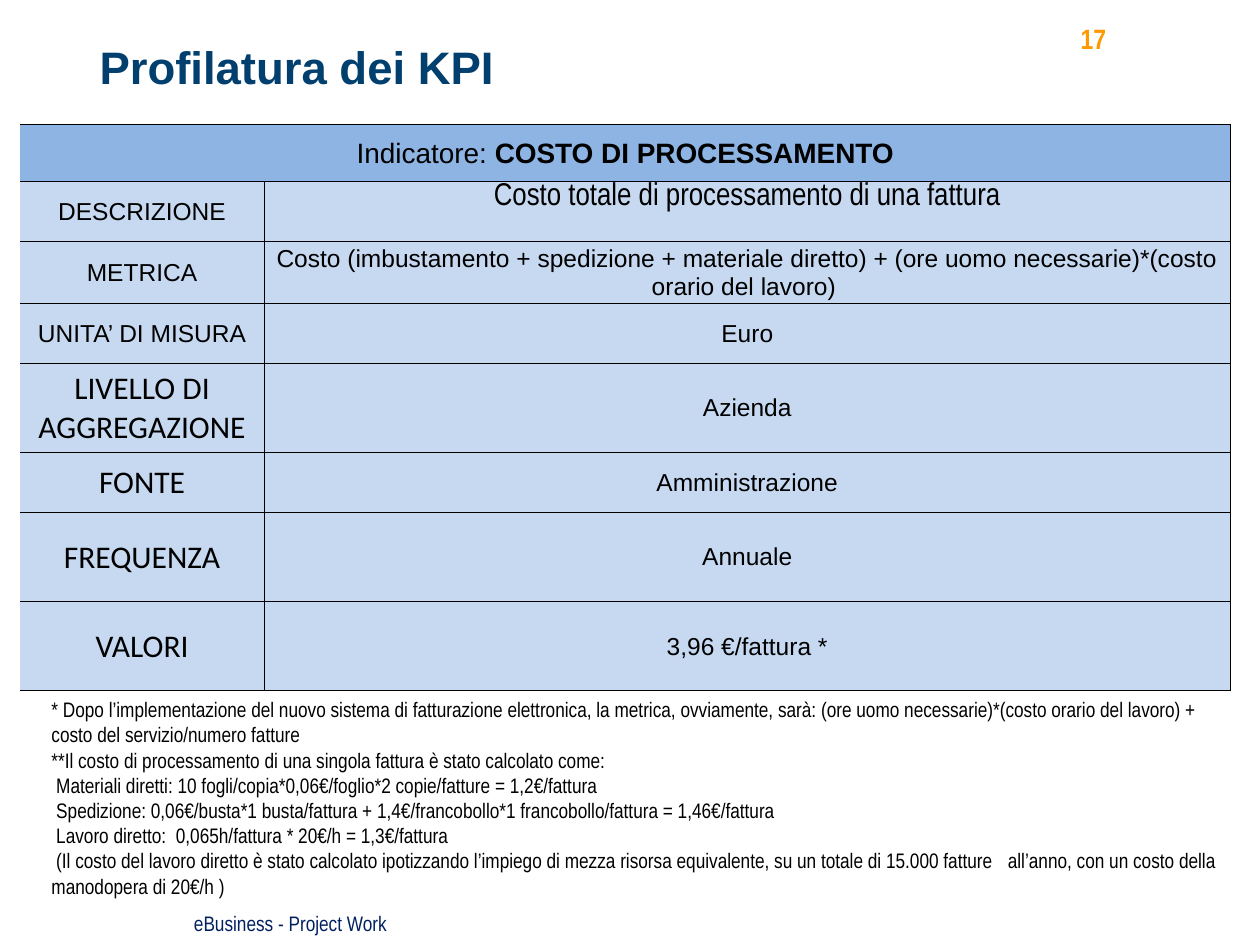
"""Build the KPI profile slide."""
from dataclasses import dataclass

from lxml.etree import SubElement
from pptx import Presentation
from pptx.dml.color import RGBColor as RGB
from pptx.enum.text import MSO_ANCHOR as Anchor, PP_ALIGN as Align
from pptx.oxml.ns import qn
from pptx.util import Pt


@dataclass(frozen=True)
class Theme:
    ink: str = "000000"
    title: str = "003F6E"
    number: str = "FF9900"
    footer: str = "002060"
    header: str = "8EB4E3"
    body: str = "C6D9F1"
    sans: str = "Arial"
    narrow: str = "Arial Narrow"
    label: str = "Calibri"
    title_size: float = 26
    large: float = 18
    head: float = 16
    medium: float = 14
    small: float = 12


T = Theme()


@dataclass(frozen=True)
class Style:
    font: str = T.sans
    size: float = T.medium
    color: str = T.ink
    bold: bool = False


@dataclass(frozen=True)
class Box:
    left: float
    top: float
    width: float
    height: float
    lines: tuple[str, ...]
    style: Style
    align: Align = Align.LEFT
    insets: tuple[float, float, float, float] = (7.2, 3.6, 7.2, 3.6)


@dataclass(frozen=True)
class Row:
    height: float
    label: str
    value: str
    label_style: Style = Style()
    value_style: Style = Style()
    value_anchor: Anchor = Anchor.MIDDLE


BIG = Style(T.label, T.large)
LOW, TALL = 34.3, 50.9
ROWS = (
    Row(LOW, "DESCRIZIONE", "Costo totale di processamento di una fattura",
        value_style=Style(T.narrow, T.large), value_anchor=Anchor.TOP),
    Row(35.4, "METRICA", "Costo (imbustamento + spedizione + materiale diretto) + "
        "(ore uomo necessarie)*(costo orario del lavoro) "),
    Row(LOW, "UNITA’ DI MISURA", "Euro"),
    Row(TALL, "LIVELLO DI AGGREGAZIONE", "Azienda", BIG),
    Row(LOW, "FONTE", "Amministrazione", BIG),
    Row(TALL, "FREQUENZA", "Annuale", BIG),
    Row(TALL, "VALORI", "3,96 €/fattura *", BIG),
)
HEADER_HEIGHT = 32.6
COLUMNS = (139.4, 552.3)
NOTES = (
    "* Dopo l’implementazione del nuovo sistema di fatturazione elettronica, la metrica, "
    "ovviamente, sarà: (ore uomo necessarie)*(costo orario del lavoro) + "
    "costo del servizio/numero fatture",
    "**Il costo di processamento di una singola fattura è stato calcolato come:",
    "\u00a0Materiali diretti: 10 fogli/copia*0,06€/foglio*2 copie/fatture = 1,2€/fattura",
    "\u00a0Spedizione: 0,06€/busta*1 busta/fattura + 1,4€/francobollo*1 francobollo/fattura"
    " = 1,46€/fattura",
    "\u00a0Lavoro diretto: \u00a00,065h/fattura * 20€/h = 1,3€/fattura",
    "\u00a0(Il costo del lavoro diretto è stato calcolato ipotizzando l’impiego di mezza "
    "risorsa equivalente, su un totale di 15.000 fatture \u00a0\u00a0all’anno, con un costo "
    "della manodopera di 20€/h )",
)
BOXES = (
    Box(0, 517, 332, 21.6, ("eBusiness - Project Work",),
        Style(T.narrow, T.small, T.footer), Align.CENTER),
    Box(56.9, 22.3, 468, 66.2, ("Profilatura dei KPI",),
        Style(T.sans, T.title_size, T.title, True), insets=(0, 0, 0, 0)),
    Box(608.4, 12.2, 108.7, 19.4, ("17",),
        Style(T.narrow, T.head, T.number, True), Align.RIGHT, (0, 0, 85, 0)),
    Box(22.3, 394.6, 680.4, 145.4, NOTES, Style(T.narrow, T.small)),
)


def add_run(p, text: str, style: Style) -> None:
    """Append one styled run."""
    r = p.add_run()
    r.text = text
    r.font.name = style.font
    r.font.size = Pt(style.size)
    r.font.bold = style.bold
    r.font.color.rgb = RGB.from_string(style.color)


def set_insets(frame, insets: tuple[float, float, float, float]) -> None:
    """Set left, top, right and bottom margins."""
    (frame.margin_left, frame.margin_top,
     frame.margin_right, frame.margin_bottom) = map(Pt, insets)


def add_box(s, box: Box) -> None:
    """Draw a text box whose lines share one paragraph."""
    sp = s.shapes.add_textbox(Pt(box.left), Pt(box.top), Pt(box.width), Pt(box.height))
    tf = sp.text_frame
    tf.word_wrap = True
    set_insets(tf, box.insets)
    p = tf.paragraphs[0]
    p.alignment = box.align
    for i, line in enumerate(box.lines):
        if i:
            p.add_line_break()
        add_run(p, line, box.style)


def fill_cell(cell, runs: list[tuple[str, Style]], fill: str, open_left: bool,
              anchor: Anchor = Anchor.MIDDLE) -> None:
    """Set borders, fill and centred text of a cell."""
    tc_pr = cell._tc.get_or_add_tcPr()
    for side in ("L", "R", "T", "B"):
        ln = SubElement(tc_pr, qn(f"a:ln{side}"), w=str(Pt(0.5)))
        if side == "L" and open_left:
            SubElement(ln, qn("a:noFill"))
        else:
            SubElement(SubElement(ln, qn("a:solidFill")), qn("a:srgbClr"), val=T.ink)
    cell.fill.solid()
    cell.fill.fore_color.rgb = RGB.from_string(fill)
    cell.vertical_anchor = anchor
    set_insets(cell, (0.7, 0.7, 0.7, 0))
    p = cell.text_frame.paragraphs[0]
    p.alignment = Align.CENTER
    for text, style in runs:
        add_run(p, text, style)


def add_kpi_table(s) -> None:
    """Draw the indicator table."""
    heights = (HEADER_HEIGHT, *(row.height for row in ROWS))
    table = s.shapes.add_table(len(heights), len(COLUMNS), Pt(11.5), Pt(71),
                               Pt(sum(COLUMNS)), Pt(sum(heights))).table
    table.first_row = table.horz_banding = False
    for column, width in zip(table.columns, COLUMNS):
        column.width = Pt(width)
    for table_row, height in zip(table.rows, heights):
        table_row.height = Pt(height)
    table.cell(0, 0).merge(table.cell(0, 1))
    fill_cell(table.cell(0, 0), [("Indicatore: ", Style(size=T.head)),
                                 ("COSTO DI PROCESSAMENTO", Style(size=T.head, bold=True))],
              T.header, True)
    fill_cell(table.cell(0, 1), [], T.header, True)
    for i, row in enumerate(ROWS, 1):
        fill_cell(table.cell(i, 0), [(row.label, row.label_style)], T.body, True)
        fill_cell(table.cell(i, 1), [(row.value, row.value_style)], T.body, False,
                  row.value_anchor)


def main() -> None:
    """Assemble and save the slide."""
    prs = Presentation()
    prs.slide_width, prs.slide_height = Pt(720), Pt(540)
    s = prs.slides.add_slide(prs.slide_layouts[6])
    add_kpi_table(s)
    for box in BOXES:
        add_box(s, box)
    prs.save("out.pptx")


main()
